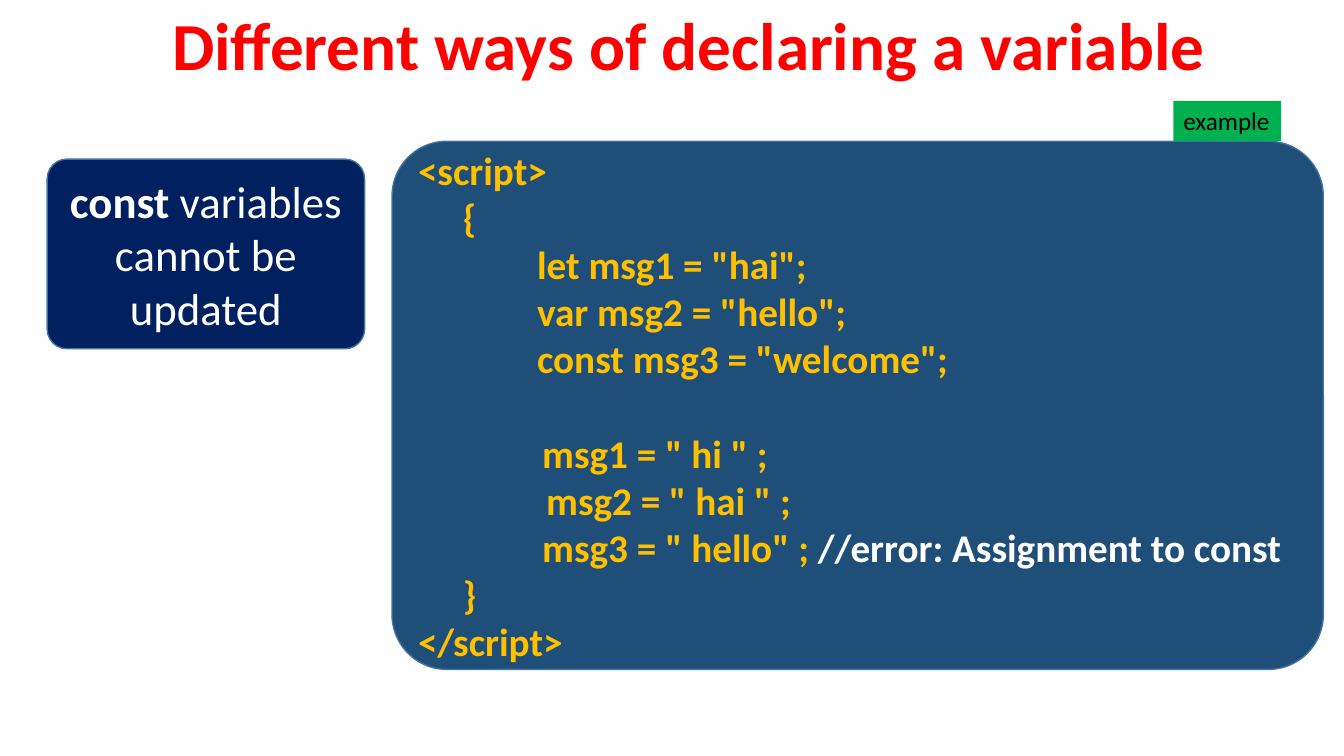
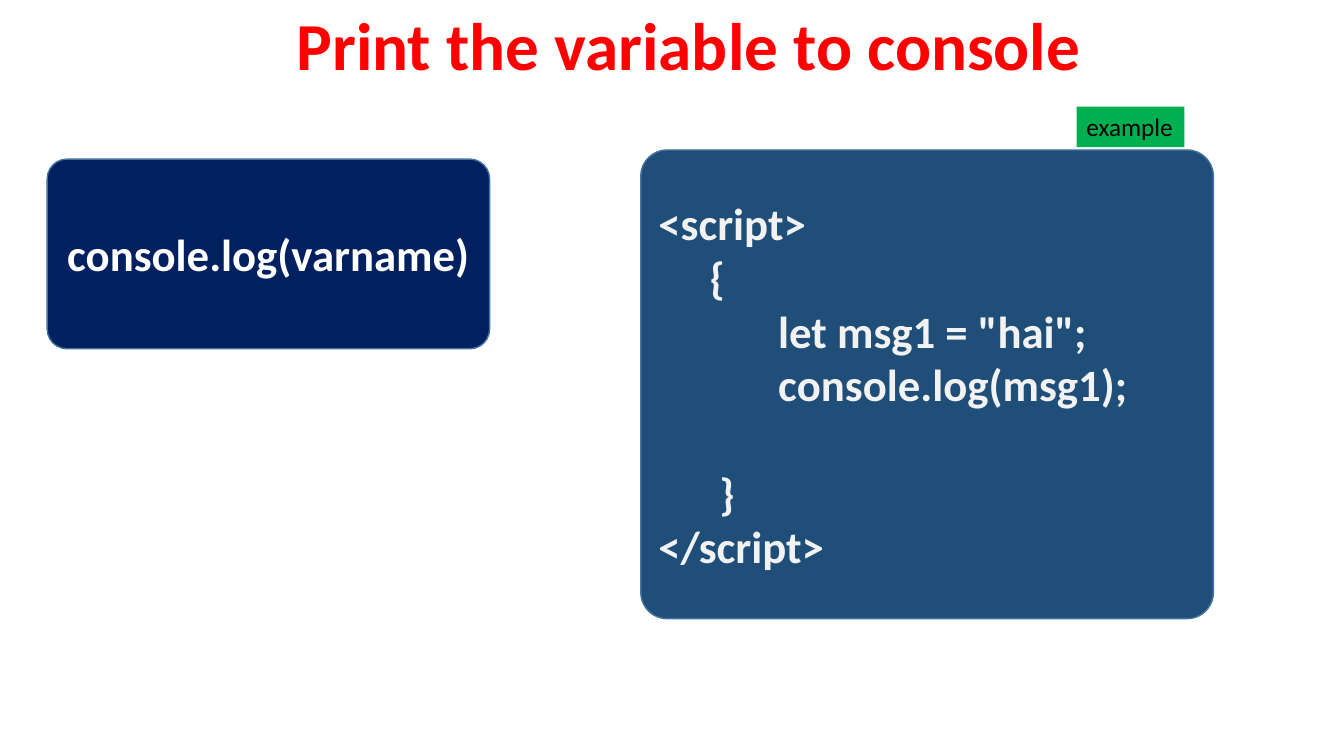
from pptx import Presentation
from pptx.dml.color import RGBColor
from pptx.enum.shapes import MSO_SHAPE
from pptx.enum.text import MSO_ANCHOR, MSO_AUTO_SIZE, PP_ALIGN
from pptx.util import Cm, Pt

ROUNDED = MSO_SHAPE.ROUNDED_RECTANGLE
TOP, MIDDLE = MSO_ANCHOR.TOP, MSO_ANCHOR.MIDDLE
LEFT, CENTER = PP_ALIGN.LEFT, PP_ALIGN.CENTER
NO_FIT, GROW = MSO_AUTO_SIZE.NONE, MSO_AUTO_SIZE.SHAPE_TO_FIT_TEXT

RED = RGBColor(0xFF, 0x00, 0x00)
NAVY = RGBColor(0x00, 0x20, 0x60)
BLUE = RGBColor(0x1F, 0x4E, 0x79)
OUTLINE = RGBColor(0x43, 0x73, 0x9E)
GREEN = RGBColor(0x00, 0xB0, 0x50)
GOLD = RGBColor(0xFF, 0xC0, 0x00)
PALE = RGBColor(0xF2, 0xF2, 0xF2)
WHITE = RGBColor(0xFF, 0xFF, 0xFF)
BLACK = RGBColor(0x00, 0x00, 0x00)

FONT = "Calibri"
LINE_HEIGHT = 1.22  # Calibri line height per point of text size
TITLE_BOX = (2.26, 0.18, 30.2, 2.74)
NOTE_LEFT, NOTE_TOP, NOTE_HEIGHT = 1.19, 4.01, 4.78
LABEL_SIZE = (2.72, 1.02)

# Content: code lines are (indent in cm, code, comment, starts a new block)
SLIDES = [
    {
        "title": "Different ways of declaring a variable",
        "note": [("const", True), (" variables cannot be updated", False)],
        "note_width": 8,
        "code_box": (9.88, 3.56, 23.47, 13.31),
        "corner": 0.104,
        "code_size": 28,
        "code_color": GOLD,
        "label_at": (29.57, 2.54),
        "code": [
            (0, "<script>", "", False),
            (1.13, "{", "", False),
            (3, 'let msg1 = "hai";', "", False),
            (3, 'var msg2 = "hello";', "", False),
            (3, 'const msg3 = "welcome";', "", False),
            (3.13, 'msg1 = " hi " ;', "", True),
            (3.23, 'msg2 = " hai " ;', "", False),
            (3.13, 'msg3 = " hello" ; ', "//error: Assignment to const", False),
            (1.13, "}", "", False),
            (0, "</script>", "", False),
        ],
    },
    {
        "title": "Print the variable to console",
        "note": [("console.log(varname)", True)],
        "note_width": 11.15,
        "code_box": (16.15, 3.78, 14.43, 11.81),
        "corner": 0.056,
        "code_size": 32,
        "code_color": PALE,
        "label_at": (27.13, 2.69),
        "code": [
            (0, "<script>", "", False),
            (1.29, "{", "", False),
            (3.02, 'let msg1 = "hai";', "", False),
            (3.02, "console.log(msg1);", "", False),
            (1.54, "}", "", True),
            (0, "</script>", "", False),
        ],
    },
]


def format_run(run, size, color, bold):
    font = run.font
    font.name, font.size, font.bold = FONT, Pt(size), bold
    font.color.rgb = color


def add_run(paragraph, text, size, color, bold):
    run = paragraph.add_run()
    run.text = text
    format_run(run, size, color, bold)


def set_title(slide, text):
    title = slide.shapes.title
    title.left, title.top, title.width, title.height = map(Cm, TITLE_BOX)
    frame = title.text_frame
    frame.text = text
    frame.vertical_anchor, frame.auto_size = TOP, NO_FIT
    paragraph = frame.paragraphs[0]
    paragraph.alignment, paragraph.line_spacing = CENTER, 0.9
    format_run(paragraph.runs[0], 48, RED, True)


def add_panel(slide, box, corner, fill):
    panel = slide.shapes.add_shape(ROUNDED, *map(Cm, box))
    panel.shadow.inherit = False
    panel.adjustments[0] = corner
    panel.fill.solid()
    panel.fill.fore_color.rgb = fill
    panel.line.color.rgb = OUTLINE
    panel.line.width = Pt(1)
    frame = panel.text_frame
    frame.word_wrap, frame.vertical_anchor = True, MIDDLE
    return frame


def add_code(slide, content):
    frame = add_panel(slide, content["code_box"], content["corner"], BLUE)
    size = content["code_size"]
    for number, (indent, code, comment, new_block) in enumerate(content["code"]):
        line = frame.add_paragraph() if number else frame.paragraphs[0]
        line.alignment = LEFT
        line._p.get_or_add_pPr().set("marL", str(Cm(indent)))
        if new_block:
            line.space_before = Pt(round(size * LINE_HEIGHT))
        add_run(line, code, size, content["code_color"], True)
        if comment:
            add_run(line, comment, size, WHITE, True)


def add_note(slide, content):
    box = (NOTE_LEFT, NOTE_TOP, content["note_width"], NOTE_HEIGHT)
    paragraph = add_panel(slide, box, 0.104, NAVY).paragraphs[0]
    paragraph.alignment = CENTER
    for text, bold in content["note"]:
        add_run(paragraph, text, 32, WHITE, bold)


def add_label(slide, position):
    label = slide.shapes.add_textbox(*map(Cm, position + LABEL_SIZE))
    label.fill.solid()
    label.fill.fore_color.rgb = GREEN
    frame = label.text_frame
    frame.word_wrap, frame.auto_size = False, GROW
    frame.text = "example"
    format_run(frame.paragraphs[0].runs[0], 18, BLACK, False)


def main():
    deck = Presentation()
    deck.slide_width, deck.slide_height = Cm(33.87), Cm(19.05)
    title_only = deck.slide_layouts[5]
    for content in SLIDES:
        slide = deck.slides.add_slide(title_only)
        set_title(slide, content["title"])
        add_code(slide, content)
        add_note(slide, content)
        add_label(slide, content["label_at"])
    deck.save("out.pptx")


if __name__ == "__main__":
    main()
